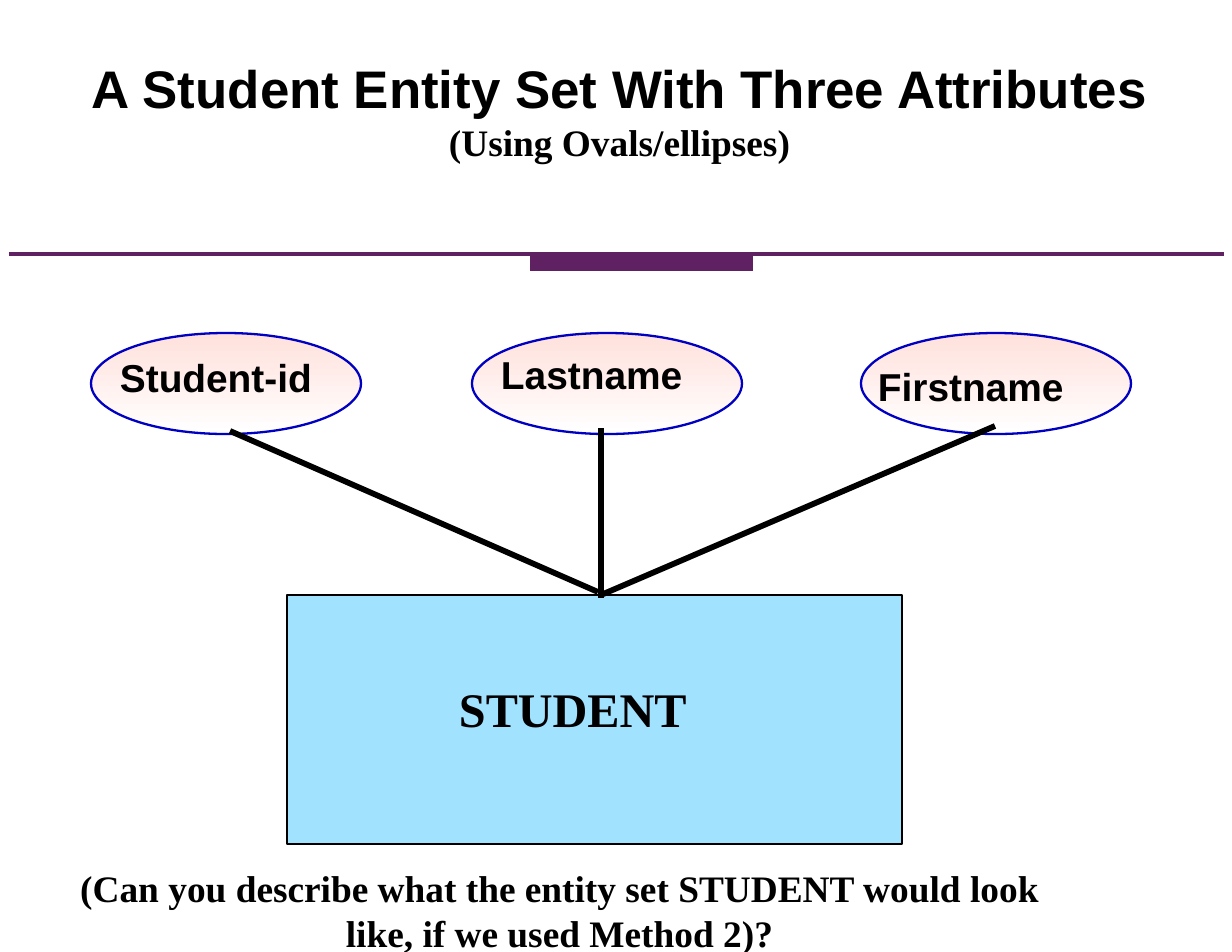
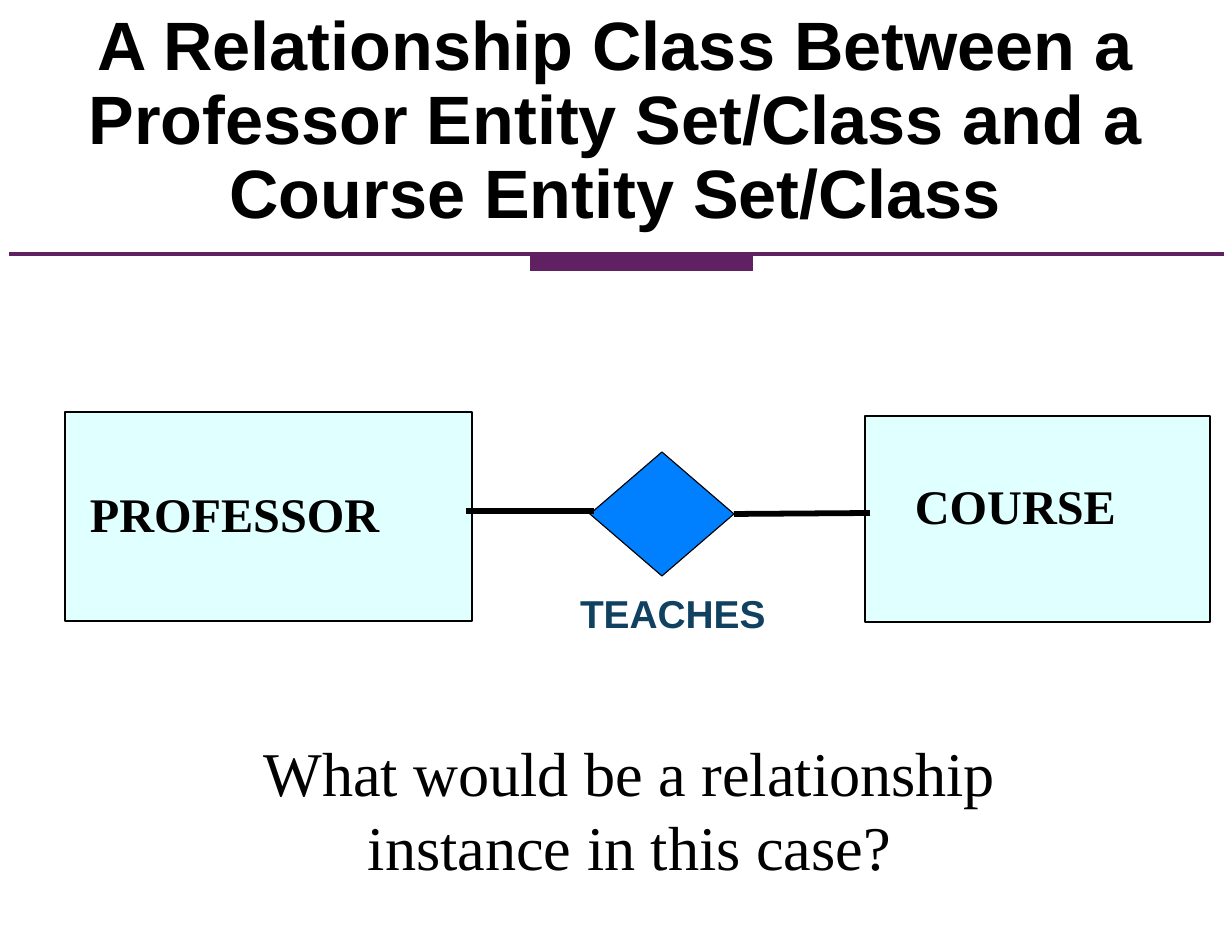
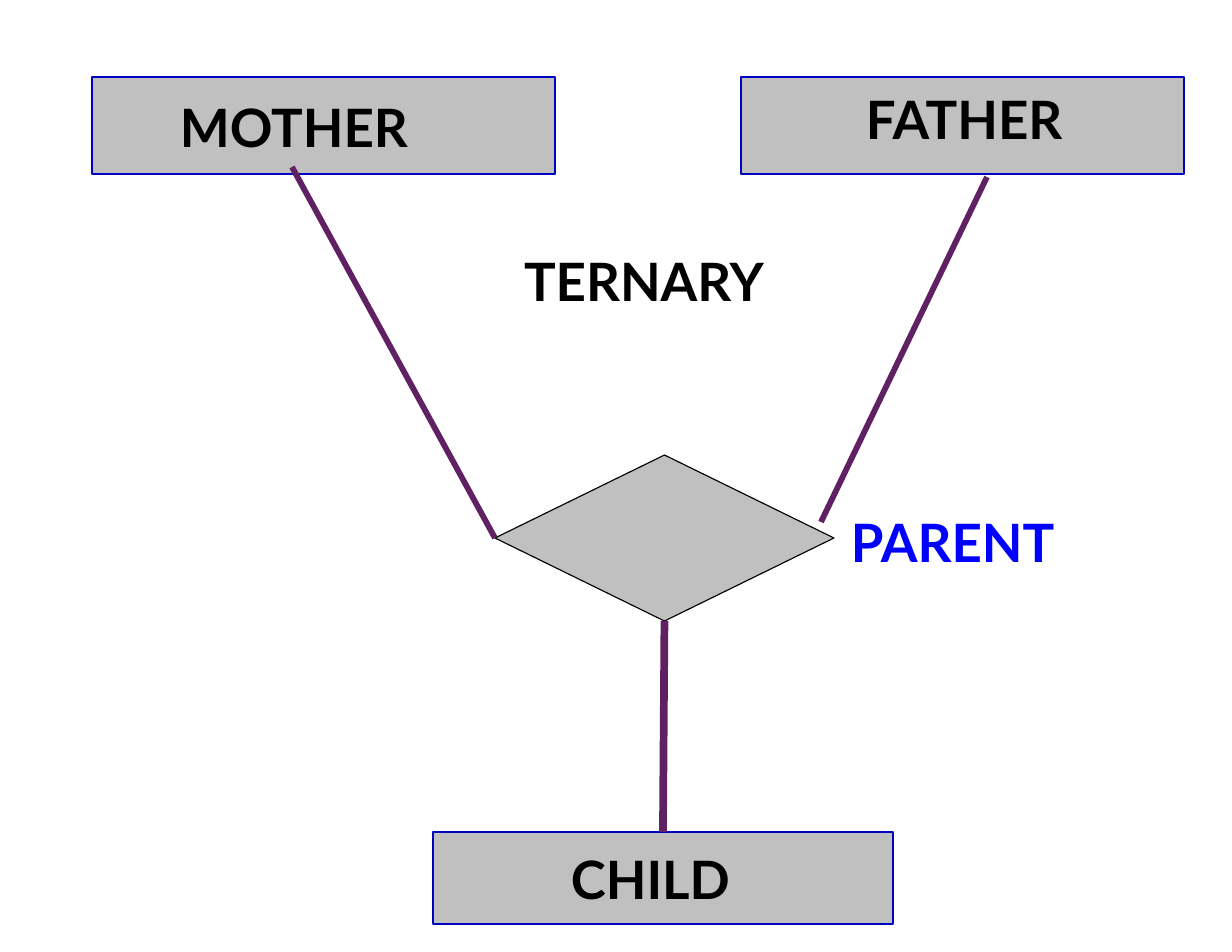
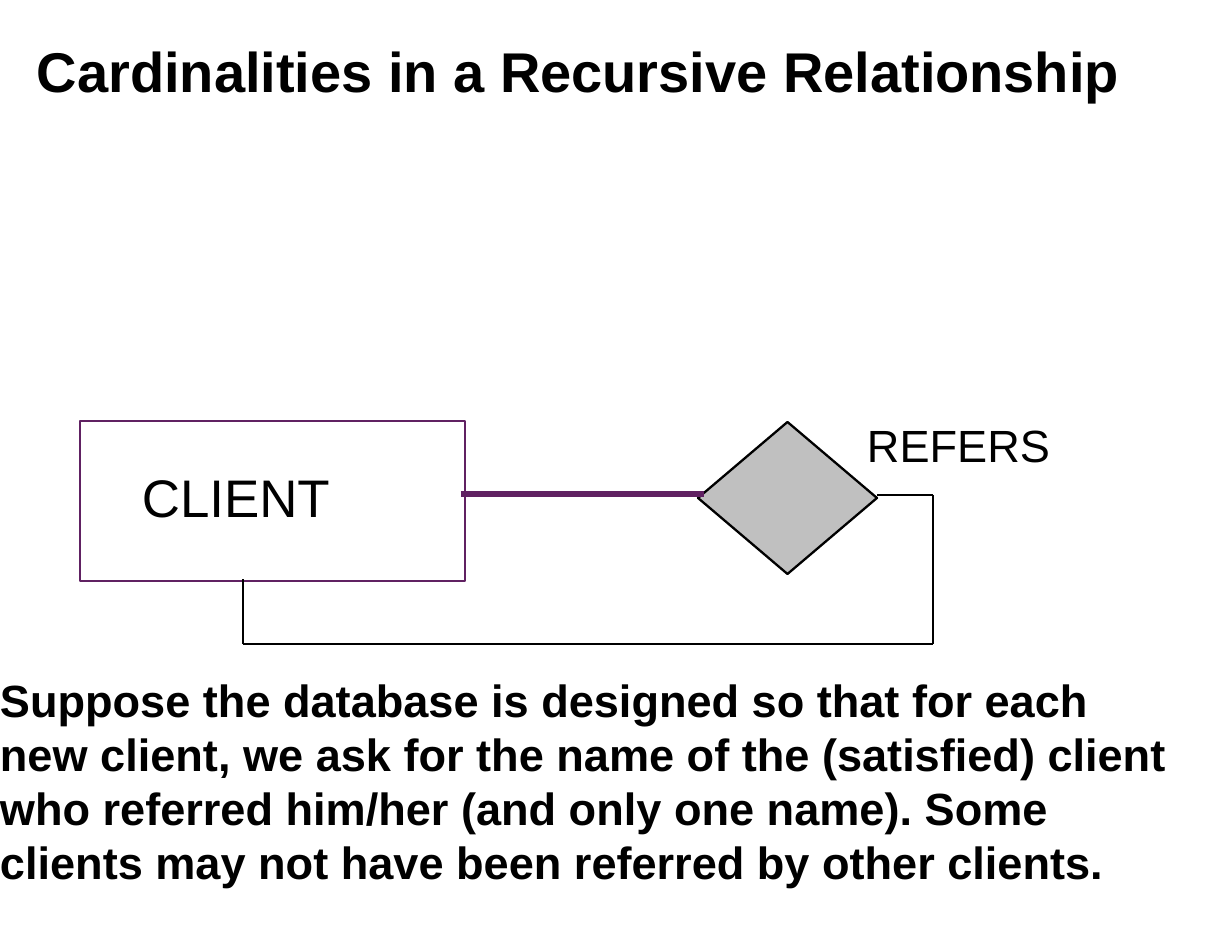
from itertools import pairwise

from lxml import etree
from pptx import Presentation
from pptx.dml.color import RGBColor
from pptx.enum.shapes import MSO_CONNECTOR, MSO_SHAPE
from pptx.enum.text import MSO_ANCHOR, PP_ALIGN
from pptx.oxml.ns import qn
from pptx.util import Pt

STRAIGHT = MSO_CONNECTOR.STRAIGHT
RECT, OVAL, RHOMB = MSO_SHAPE.RECTANGLE, MSO_SHAPE.OVAL, MSO_SHAPE.DIAMOND
LEFT, CENTER = PP_ALIGN.LEFT, PP_ALIGN.CENTER
TOP, MIDDLE = MSO_ANCHOR.TOP, MSO_ANCHOR.MIDDLE

EMU = 914400 / 112
WIDTH, HEIGHT = 1232, 952
THIN, EDGE, LINK, HEAVY = 0.75, 1.46, 3.71, 4.95

COLORS = {
    "black": "000000",
    "white": "FFFFFF",
    "plum": "602162",
    "navy": "0000C2",
    "blue": "0000FF",
    "azure": "0080FF",
    "teal": "104160",
    "sky": "A1E2FF",
    "ice": "E0FFFF",
    "gray": "C0C0C0",
    "blush": "FFE1DC",
}
SANS, SERIF, LATO = "Arial", "Times New Roman", "Lato"
TITLE = {"name": SANS, "bold": True}
ENTITY = {"name": SERIF, "size": Pt(31), "bold": True}
FIELD = {"name": SANS, "size": Pt(25), "bold": True}
PERSON = {"name": LATO, "size": Pt(34), "bold": True}
ASK = {"name": SERIF, "size": Pt(24), "bold": True}


def rgb(name):
    return RGBColor.from_string(COLORS[name])


def emu(box):
    return [round(n * EMU) for n in box]


def text(slide, box, lines, align=LEFT, color="black", anchor=TOP,
         pad=(0, 0), spacing=None):
    """Lines are pairs of wording and font values, one for each paragraph."""
    frame = slide.shapes.add_textbox(*emu(box)).text_frame
    side, end = emu(pad)
    values = {"word_wrap": True, "vertical_anchor": anchor,
              "margin_left": side, "margin_right": side,
              "margin_top": end, "margin_bottom": end}
    for key, value in values.items():
        setattr(frame, key, value)
    for i, (words, style) in enumerate(lines):
        para = frame.add_paragraph() if i else frame.paragraphs[0]
        para.alignment = align
        if spacing:
            para.line_spacing = spacing
        run = para.add_run()
        run.text = words
        for key, value in style.items():
            setattr(run.font, key, value)
        run.font.color.rgb = rgb(color)


def shape(slide, kind, box, fill=None, line=None, width=EDGE):
    item = slide.shapes.add_shape(kind, *emu(box))
    item.shadow.inherit = False
    if fill:
        item.fill.solid()
        item.fill.fore_color.rgb = rgb(fill)
    else:
        item.fill.background()
    if line:
        item.line.color.rgb = rgb(line)
        item.line.width = Pt(width)
    else:
        item.line.fill.background()
    return item


def link(slide, start, end, color="black", width=LINK, tail=None, head=None):
    """Tail and head are pairs of a shape and its side to join."""
    item = slide.shapes.add_connector(STRAIGHT, *emu(start), *emu(end))
    item.line.color.rgb = rgb(color)
    item.line.width = Pt(width)
    etree.SubElement(item._element.spPr, qn("a:effectLst"))
    if tail:
        item.begin_connect(*tail)
    if head:
        item.end_connect(*head)


def entity(slide, box, name, shift, style, fill=None, line="black"):
    """Box with its name shifted from the top left corner."""
    x, y, w, h = box
    dx, dy = shift
    item = shape(slide, RECT, box, fill, line)
    text(slide, (x + dx, y + dy, w - dx, h - dy), [(name, style)])
    return item


def field(slide, box, name, shift):
    """Oval for one attribute."""
    x, y, w, h = box
    dx, dy = shift
    oval = shape(slide, OVAL, box, "white", "navy")
    oval.fill.gradient()
    oval.fill.gradient_angle = 270
    for stop, color in zip(oval.fill.gradient_stops, ("blush", "white")):
        stop.color.rgb = rgb(color)
    text(slide, (x + dx, y + dy, w - dx, h - dy), [(name, FIELD)])


def band(slide):
    shape(slide, RECT, (530, 255, 223, 16), "plum")
    link(slide, (9, 254), (1224, 254), "plum", 2.48)


def student(slide):
    band(slide)
    entity(slide, (287, 595, 615, 249), "STUDENT", (172, 84), ENTITY, "sky")
    fields = [(91, "Student-id", (29, 21)), (472, "Lastname", (29, 18)),
              (861, "Firstname", (17, 30))]
    for x, name, shift in fields:
        field(slide, (x, 333, 270, 101), name, shift)
    for start, end in [((601, 598), (601, 428)), ((601, 595), (995, 426)),
                       ((598, 592), (230, 431))]:
        link(slide, start, end)
    text(slide, (7, 56, 1225, 162),
         [("A Student Entity Set With Three Attributes",
           TITLE | {"size": Pt(34)}),
          ("(Using Ovals/ellipses)", ASK)], CENTER)
    text(slide, (37, 859, 1045, 101),
         [("(Can you describe what the entity set STUDENT would look like, "
           "if we used Method 2)?", ASK)], CENTER, pad=(11, 6))


def teaches(slide):
    band(slide)
    text(slide, (0, 0, WIDTH, 245),
         [("A Relationship Class Between a Professor Entity Set/Class "
           "and a Course Entity Set/Class", TITLE | {"size": Pt(44)})],
         CENTER, anchor=MIDDLE, spacing=0.9)
    entity(slide, (65, 412, 407, 209), "PROFESSOR", (25, 72), ENTITY, "ice")
    entity(slide, (865, 416, 345, 206), "COURSE", (50, 60), ENTITY, "ice")
    rhomb = shape(slide, RHOMB, (590, 452, 144, 124), "azure", "black", THIN)
    text(slide, (580, 590, 258, 90), [("TEACHES", FIELD)], color="teal")
    link(slide, (594, 511), (466, 511))
    link(slide, (734, 514), (870, 513), tail=(rhomb, 3))
    text(slide, (205, 728, 849, 160),
         [("What would be a relationship instance in this case?",
           {"name": SERIF, "size": Pt(40)})], CENTER, pad=(11, 6))


def parent(slide):
    people = [((92, 77, 463, 97), "MOTHER", (88, 18)),
              ((741, 77, 443, 97), "FATHER", (125, 10)),
              ((433, 832, 460, 92), "CHILD", (138, 15))]
    *_, child = [entity(slide, box, name, shift, PERSON, "gray", "navy")
                 for box, name, shift in people]
    rhomb = shape(slide, RHOMB, (495, 455, 339, 166), "gray", "black", THIN)
    link(slide, (292, 167), (495, 538), "plum", head=(rhomb, 1))
    link(slide, (821, 522), (987, 177), "plum")
    link(slide, (665, 621), (663, 832), "plum", HEAVY, (rhomb, 2), (child, 0))
    text(slide, (851, 510, 254, 80), [("PARENT", PERSON)], color="blue")
    text(slide, (524, 249, 299, 94), [("TERNARY", PERSON)])


def refers(slide):
    entity(slide, (80, 421, 385, 160), "CLIENT", (62, 44),
           {"name": SANS, "size": Pt(34)}, line="plum")
    shape(slide, RHOMB, (698, 422, 179, 152), "gray", "black")
    link(slide, (461, 494), (704, 494), "plum")
    text(slide, (867, 417, 365, 83),
         [("REFERS", {"name": SANS, "size": Pt(29)})])
    text(slide, (37, 37, 1111, 62),
         [("Cardinalities in a Recursive Relationship",
           TITLE | {"size": Pt(36)})])
    text(slide, (0, 672, 1188, 240),
         [("Suppose the database is designed so that for each new client, "
           "we ask for the name of the (satisfied) client who referred "
           "him/her (and only one name). Some clients may not have been "
           "referred by other clients.", TITLE | {"size": Pt(29)})])
    loop = [(877, 495), (933, 495), (933, 644), (243, 644), (243, 579)]
    for start, end in pairwise(loop):
        link(slide, start, end, width=THIN)


def main():
    deck = Presentation()
    deck.slide_width, deck.slide_height = emu((WIDTH, HEIGHT))
    for draw in (student, teaches, parent, refers):
        draw(deck.slides.add_slide(deck.slide_layouts[6]))
    deck.save("out.pptx")


if __name__ == "__main__":
    main()
